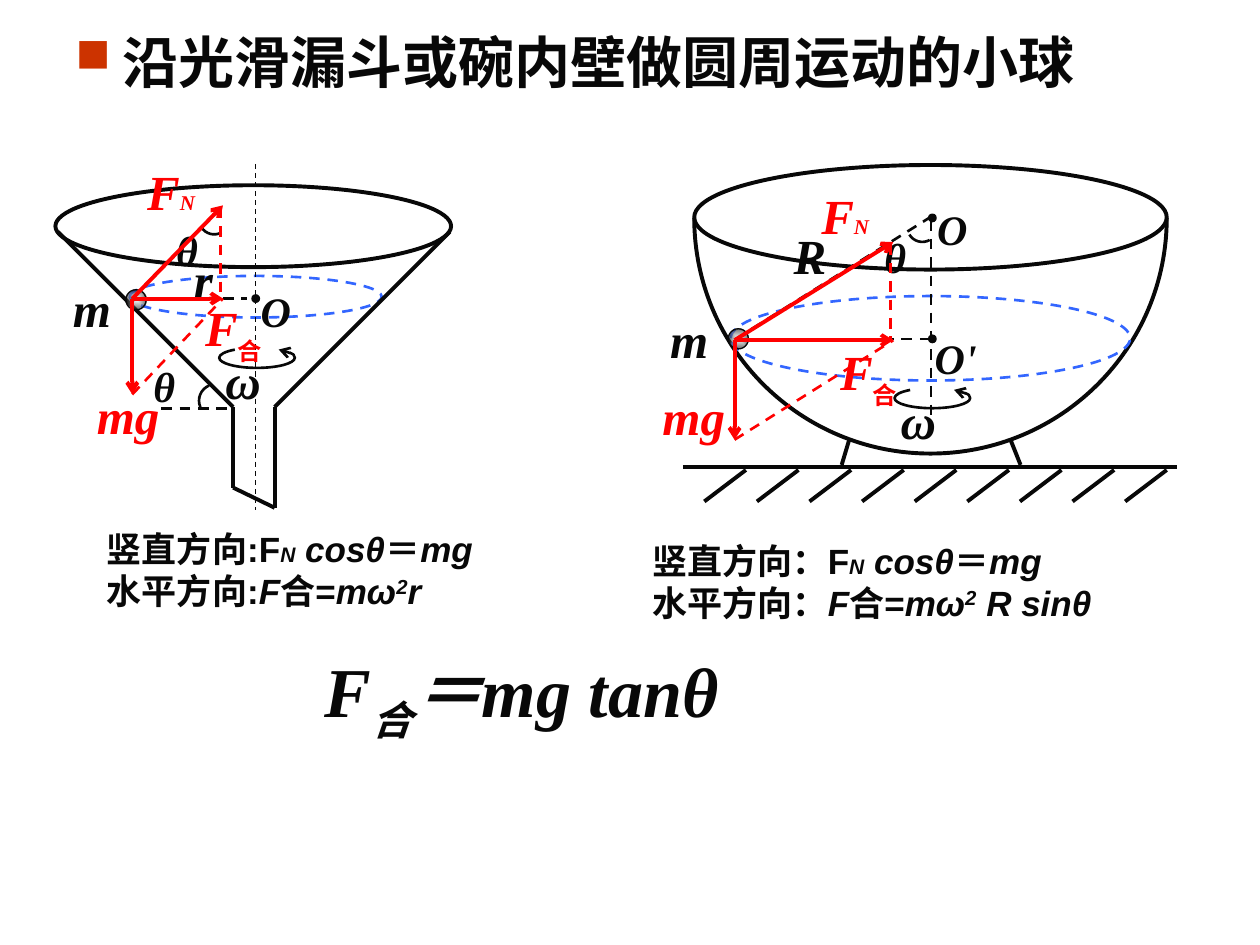
import itertools
import math

from lxml import etree
from pptx import Presentation
from pptx import util as u
from pptx.dml import color as dml
from pptx.enum import dml as line_styles, shapes, text
from pptx.oxml import ns

COLORS = {"ink": "080808", "force": "FF0000", "orbit": "3366FF",
          "bullet": "CC3300", "light": "FFFFFF"}
SERIF = "Times New Roman"
SANS = "Arial"


def rgb(name):
    return dml.RGBColor.from_string(COLORS[name])


def lengths(*inches):
    return [u.Cm(2.54 * value) for value in inches]


def add_child(parent, tag, **attributes):
    return etree.SubElement(parent, ns.qn(tag), attributes)


def set_line(item, color, width, dashed=False, arrow=None):
    item.line.color.rgb = rgb(color)
    item.line.width = u.Pt(width)
    if dashed:
        item.line.dash_style = line_styles.MSO_LINE.DASH
    if arrow:
        add_child(item.line._get_or_add_ln(), f"a:{arrow}", type="arrow")


def add_line(slide, start, end, color="ink", width=2.25, dashed=False, arrow=None):
    line = slide.shapes.add_connector(
        shapes.MSO_CONNECTOR.STRAIGHT, *lengths(*start, *end))
    set_line(line, color, width, dashed, arrow)
    add_child(line._element.spPr, "a:effectLst")


def add_ellipse(slide, box, color="ink", width=2.25, dashed=False):
    ellipse = slide.shapes.add_shape(shapes.MSO_SHAPE.OVAL, *lengths(*box))
    ellipse.shadow.inherit = False
    ellipse.fill.background()
    set_line(ellipse, color, width, dashed)
    return ellipse


def add_arc(slide, center, radii, degrees, width=1.5, arrow=None):
    def place(angle, pull=0):
        cos, sin = math.cos(angle), math.sin(angle)
        return lengths(center[0] + radii[0] * (cos - pull * sin),
                       center[1] + radii[1] * (sin + pull * cos))

    angles = [math.radians(degree) for degree in degrees]
    controls = []
    for first, last in itertools.pairwise(angles):
        pull = 4 / 3 * math.tan((last - first) / 4)
        controls += [place(first, pull), place(last, -pull), place(last)]
    builder = slide.shapes.build_freeform(*place(angles[0]))
    builder.add_line_segments(controls, close=False)
    arc = builder.convert_to_shape()
    corners = list(arc._element.iter(ns.qn("a:lnTo")))
    outline = corners[0].getparent()
    for i in range(0, len(corners), 3):
        curve = add_child(outline, "a:cubicBezTo")
        for corner in corners[i:i + 3]:
            curve.append(corner[0])
            outline.remove(corner)
    arc.shadow.inherit = False
    arc.fill.background()
    set_line(arc, "ink", width, arrow=arrow)


def add_frame(slide, box, wrap=True):
    frame = slide.shapes.add_textbox(*lengths(*box)).text_frame
    frame.word_wrap = wrap
    frame.auto_size = text.MSO_AUTO_SIZE.SHAPE_TO_FIT_TEXT
    return frame


def set_font(paragraph, name, size, color="ink", italic=None):
    font = paragraph.font
    font.name, font.size, font.bold, font.italic = name, u.Pt(size), True, italic
    font.color.rgb = rgb(color)


def add_run(paragraph, words, size=None, italic=None, baseline=None):
    run = paragraph.add_run()
    run.text = words
    if size:
        run.font.size = u.Pt(size)
    if italic is not None:
        run.font.italic = italic
    if baseline:
        run._r.get_or_add_rPr().set("baseline", str(baseline * 1000))


def add_label(slide, box, runs, size=28, color="ink", wrap=True):
    paragraph = add_frame(slide, box, wrap).paragraphs[0]
    set_font(paragraph, SERIF, size, color, italic=True)
    for run in runs:
        add_run(paragraph, *run)


def add_angle(slide, vertex, radius, degrees, corner):
    add_label(slide, (*corner, 0.53, 0.5), [("θ",)], size=24, wrap=False)
    add_arc(slide, vertex, (radius, radius), degrees)


def add_center(slide, x, y, name, corner):
    add_label(slide, (*corner, 0.67, 0.5), [(name,)], size=24)
    dot = add_ellipse(slide, (x - 0.03, y - 0.03, 0.06, 0.06), width=0.75)
    dot.fill.solid()
    dot.fill.fore_color.rgb = rgb("ink")


def add_rotation(slide, x, y):
    add_arc(slide, (x, y), (0.3, 0.08), (-55, 0, 90, 180, 234), arrow="headEnd")
    add_label(slide, (x - 0.35, y - 0.11, 0.58, 0.57), [("ω",)])


def add_ball(slide, x, y, corner):
    ball = add_ellipse(slide, (x - 0.08, y - 0.08, 0.16, 0.16), width=0.75)
    ball.fill.gradient()
    gradient = ball._element.spPr.find(ns.qn("a:gradFill"))
    gradient.remove(gradient.find(ns.qn("a:lin")))
    for stop, color, position in zip(ball.fill.gradient_stops, ("light", "ink"), (0, 1)):
        stop.color.rgb = rgb(color)
        stop.position = position
    for tint in gradient.iter(ns.qn("a:srgbClr")):
        add_child(tint, "a:alpha", val="60000")
    shade = add_child(gradient, "a:path", path="shape")
    add_child(shade, "a:fillToRect", l="50000", t="50000", r="50000", b="50000")
    add_label(slide, (*corner, 0.42, 0.57), [("m",)])


def add_forces(slide, x, y, dx, lift, drop, weight, normal, net):
    right, top, bottom = x + dx, y - lift, y + drop
    for tip in ((x, bottom), (right, top), (right, y)):
        add_line(slide, (x, y), tip, "force", arrow="tailEnd")
    add_line(slide, (right - 0.02, top + 0.02), (right - 0.02, y), "force", 1.5, True)
    add_line(slide, (x, bottom), (right, y), "force", 1.5, True)
    add_label(slide, (*weight, 0.7, 0.57), [("mg",)], color="force", wrap=False)
    add_label(slide, (*normal, 0.75, 0.57), [("F",), ("N", 12)], color="force")
    add_label(slide, (*net, 0.76, 0.57), [("F",), ("合", 24, False, -34)], color="force")


def add_equations(slide, box, colon, radius):
    vertical = [(f"竖直方向{colon}F",), ("N", 12, True), (" cosθ", None, True),
                ("＝",), ("mg", None, True)]
    horizontal = [(f"水平方向{colon}",), ("F", None, True), ("合=",),
                  ("mω", None, True), ("2", None, True, 30), (radius, None, True)]
    frame = add_frame(slide, box)
    for paragraph, runs in zip((frame.paragraphs[0], frame.add_paragraph()),
                               (vertical, horizontal)):
        set_font(paragraph, SANS, 20)
        for run in runs:
            add_run(paragraph, *run)


def add_title(slide):
    paragraph = add_frame(slide, (0.5, 0.17, 9, 0.87)).paragraphs[0]
    properties = paragraph._p.get_or_add_pPr()
    indent = u.Cm(0.95)
    properties.set("marL", str(indent))
    properties.set("indent", str(-indent))
    add_child(add_child(properties, "a:buClr"), "a:srgbClr", val=COLORS["bullet"])
    add_child(properties, "a:buSzPct", val="85000")
    add_child(properties, "a:buChar", char="■")
    set_font(paragraph, SANS, 32)
    add_run(paragraph, "沿光滑漏斗或碗内壁做圆周运动的小球")


def draw_funnel(slide):
    add_ellipse(slide, (1.03, 2.19, 2, 0.33), "orbit", 1.5, True)
    add_ellipse(slide, (0.44, 1.47, 3.14, 0.65))
    left, right, neck = 1.85, 2.18, 3.23
    for start, end in (((0.46, 1.84), (left, neck)), ((3.57, 1.84), (right, neck)),
                       ((left, neck), (left, 3.87)), ((right, neck), (right, 4.03)),
                       ((left, 3.87), (right, 4.03))):
        add_line(slide, start, end)
    add_angle(slide, (1.7, 1.74), 0.12, (61, 149), (1.3, 1.73))
    add_rotation(slide, 2.04, 2.84)
    add_line(slide, (2.03, 1.3), (2.03, 4.05), width=0.75, dashed=True)
    add_angle(slide, (1.71, 3.18), 0.13, (157, 247), (1.12, 2.81))
    add_line(slide, (1.28, 3.24), (left, 3.24), width=1.5, dashed=True)
    add_center(slide, 2.03, 2.37, "O", (1.97, 2.22))
    add_line(slide, (1.04, 2.37), (1.96, 2.37), width=1.5, dashed=True)
    add_label(slide, (1.44, 1.93, 0.33, 0.57), [("r",)], wrap=False)
    add_ball(slide, 1.08, 2.38, (0.48, 2.16))
    add_forces(slide, 1.05, 2.37, 0.72, 0.74, 0.76, (0.67, 3.01), (1.07, 1.23), (1.53, 2.31))


def draw_bowl(slide):
    add_ellipse(slide, (5.51, 1.31, 3.75, 0.83))
    add_arc(slide, (7.385, 1.73), (1.875, 1.87), (0, 90, 180), width=2.25)
    add_line(slide, (6.74, 3.49), (6.68, 3.69))
    add_line(slide, (8.02, 3.49), (8.1, 3.69))
    add_line(slide, (5.42, 3.71), (9.34, 3.71))
    for i in range(9):
        x = 5.92 + 0.4175 * i
        add_line(slide, (x, 3.73), (x - 0.33, 3.98))
    add_ellipse(slide, (5.8, 2.35, 3.17, 0.67), "orbit", 1.5, True)
    add_center(slide, 7.4, 2.69, "O'", (7.32, 2.59))
    add_center(slide, 7.4, 1.73, "O", (7.34, 1.57))
    for start, end in (((5.84, 2.69), (7.42, 2.69)), ((5.84, 2.69), (7.39, 1.72)),
                       ((7.39, 1.75), (7.39, 3.33))):
        add_line(slide, start, end, width=1.5, dashed=True)
    add_label(slide, (6.2, 1.74, 0.5, 0.57), [("R",)])
    add_angle(slide, (7.32, 1.8), 0.12, (61, 149), (6.92, 1.79))
    add_rotation(slide, 7.4, 3.16)
    add_ball(slide, 5.86, 2.69, (5.22, 2.41))
    add_forces(slide, 5.83, 2.7, 1.26, 0.78, 0.79, (5.16, 3.02), (6.42, 1.42), (6.57, 2.66))


def main():
    deck = Presentation()
    deck.slide_width, deck.slide_height = lengths(10, 7.5)
    slide = deck.slides.add_slide(deck.slide_layouts[6])
    draw_funnel(slide)
    draw_bowl(slide)
    add_label(slide, (2.48, 5.09, 4.49, 0.77),
              [("F",), ("合", None, None, -25), ("＝mg tanθ",)], size=40)
    add_equations(slide, (0.75, 4.14, 3.31, 0.77), ":", "r")
    add_equations(slide, (5.08, 4.23, 4.34, 0.77), "：", " R sinθ")
    add_title(slide)
    deck.save("out.pptx")


if __name__ == "__main__":
    main()
